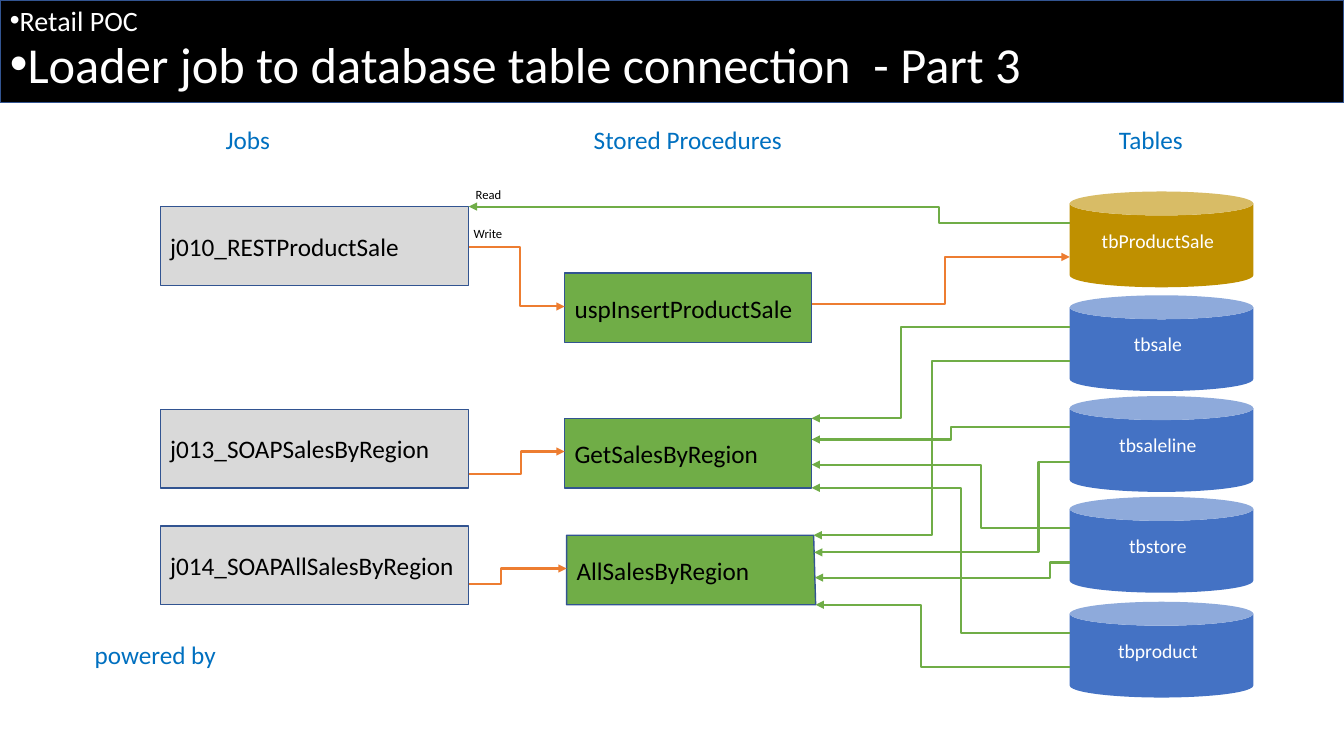
from lxml import etree
from pptx import Presentation
from pptx.dml.color import RGBColor
from pptx.enum.shapes import MSO_CONNECTOR, MSO_SHAPE
from pptx.enum.text import MSO_ANCHOR, PP_ALIGN
from pptx.oxml.ns import qn
from pptx.util import Inches, Pt

ELBOW = MSO_CONNECTOR.ELBOW
CAN, RECT = MSO_SHAPE.CAN, MSO_SHAPE.RECTANGLE
MIDDLE = MSO_ANCHOR.MIDDLE
LEFT, CENTER = PP_ALIGN.LEFT, PP_ALIGN.CENTER

BLACK = RGBColor(0x00, 0x00, 0x00)
WHITE = RGBColor(0xFF, 0xFF, 0xFF)
GREY = RGBColor(0xD9, 0xD9, 0xD9)
GREEN = RGBColor(0x70, 0xAD, 0x47)
ORANGE = RGBColor(0xED, 0x7D, 0x31)
GOLD = RGBColor(0xBF, 0x90, 0x00)
BLUE = RGBColor(0x44, 0x72, 0xC4)
HEADING = RGBColor(0x00, 0x70, 0xC0)
OUTLINE = RGBColor(0x32, 0x54, 0x91)

JOB_X, JOB_W, JOB_H = 1.59, 3.06, 0.78
PROC_W, PROC_H = 2.45, 0.69
TABLE_X, TABLE_W, TABLE_H = 10.61, 1.82, 0.95
UPPER, LOWER = 0.31, 0.65

JOBS = {
    "j010_RESTProductSale": (2.05, 0.40),
    "j013_SOAPSalesByRegion": (4.06, 0.64),
    "j014_SOAPAllSalesByRegion": (5.22, 0.57),
}
PROCS = {
    "uspInsertProductSale": (5.6, 2.71, 0),
    "GetSalesByRegion": (5.6, 4.15, 0),
    "AllSalesByRegion": (5.62, 5.31, 0.02),
}
TABLES = {
    "tbProductSale": (1.9, GOLD),
    "tbsale": (2.93, BLUE),
    "tbsaleline": (3.93, BLUE),
    "tbstore": (4.93, BLUE),
    "tbproduct": (5.97, BLUE),
}
CALLS = [
    ("j010_RESTProductSale", "uspInsertProductSale", 5.16),
    ("j013_SOAPSalesByRegion", "GetSalesByRegion", 5.17),
    ("j014_SOAPAllSalesByRegion", "AllSalesByRegion", 4.97),
]
READS = [
    ("tbsale", UPPER, "GetSalesByRegion", 0, 8.94),
    ("tbsale", LOWER, "AllSalesByRegion", 0, 9.24),
    ("tbsaleline", UPPER, "GetSalesByRegion", 0.21, 9.43),
    ("tbsaleline", LOWER, "AllSalesByRegion", 0.17, 10.3),
    ("tbstore", UPPER, "GetSalesByRegion", 0.46, 9.73),
    ("tbstore", LOWER, "AllSalesByRegion", 0.42, 10.41),
    ("tbproduct", UPPER, "GetSalesByRegion", 0.69, 9.53),
    ("tbproduct", LOWER, "AllSalesByRegion", 0.69, 9.13),
]
LABELS = [
    ("Jobs", 2.14, 1.18, 1.77, 0.4, 18, HEADING),
    ("Stored Procedures", 5.79, 1.18, 2.11, 0.4, 18, HEADING),
    ("Tables", 11, 1.18, 0.96, 0.4, 18, HEADING),
    ("Read", 4.62, 1.8, 0.46, 0.25, 9, BLACK),
    ("Write", 4.6, 2.19, 0.52, 0.25, 9, BLACK),
    ("powered by", 0.84, 6.29, 1.89, 0.28, 18, HEADING),
]


def write(p, text, size, color, align=LEFT):
    p.alignment = align
    r = p.add_run()
    r.text = text
    r.font.color.rgb = color
    for name, value in {"name": "Calibri", "size": Pt(size)}.items():
        setattr(r.font, name, value)


def paint(sp, fill, line=None):
    sp.shadow.inherit = False
    sp.fill.solid()
    sp.fill.fore_color.rgb = fill
    if line is None:
        sp.line.fill.background()
    else:
        sp.line.color.rgb = line
        sp.line.width = Pt(1)


def set_frame(tf, **values):
    for name, value in {"word_wrap": True, **values}.items():
        setattr(tf, name, value)


def add_banner(s, x, y, w, h):
    sp = s.shapes.add_shape(RECT, Inches(x), Inches(y), Inches(w), Inches(h))
    paint(sp, BLACK, OUTLINE)
    tf = sp.text_frame
    set_frame(tf, vertical_anchor=MIDDLE)
    lines = [("Retail POC", 20), ("Loader job to database table connection  - Part 3", 36)]
    for i, (text, size) in enumerate(lines):
        p = tf.paragraphs[0] if i == 0 else tf.add_paragraph()
        p.line_spacing = 0.8
        p.space_after = Pt(6)
        pPr = p._p.get_or_add_pPr()
        pPr.set("marL", "0")
        pPr.set("indent", str(-Inches(0.25)))
        etree.SubElement(pPr, qn("a:buFont")).set("typeface", "Arial")
        etree.SubElement(pPr, qn("a:buChar")).set("char", "•")
        write(p, text, size, WHITE)


def add_label(s, text, x, y, w, h, size, color):
    tf = s.shapes.add_textbox(Inches(x), Inches(y), Inches(w), Inches(h)).text_frame
    set_frame(tf)
    write(tf.paragraphs[0], text, size, color)


def add_box(s, text, x, y, w, h, fill, lean=0):
    corners = [(x + w, y), (x + w + lean, y + h), (x, y + h)]
    outline = s.shapes.build_freeform(Inches(x), Inches(y))
    outline.add_line_segments([(Inches(a), Inches(b)) for a, b in corners])
    sp = outline.convert_to_shape()
    paint(sp, fill, OUTLINE)
    set_frame(sp.text_frame, vertical_anchor=MIDDLE, margin_right=Inches(0.05))
    write(sp.text_frame.paragraphs[0], text, 18, BLACK)


def add_table_can(s, text, x, y, w, h, fill):
    sp = s.shapes.add_shape(CAN, Inches(x), Inches(y), Inches(w), Inches(h))
    paint(sp, fill)
    set_frame(sp.text_frame, vertical_anchor=MIDDLE,
              margin_right=Inches(0.17), margin_bottom=Inches(0.15))
    write(sp.text_frame.paragraphs[0], text, 14, WHITE, CENTER)


def add_flow(s, start, end, bend_x, color):
    (x1, y1), (x2, y2) = start, end
    cn = s.shapes.add_connector(ELBOW, Inches(x1), Inches(y1), Inches(x2), Inches(y2))
    cn.line.color.rgb = color
    cn.line.width = Pt(1.5)
    etree.SubElement(cn.line._get_or_add_ln(), qn("a:tailEnd")).set("type", "triangle")
    spPr = cn._element.spPr
    etree.SubElement(spPr, qn("a:effectLst"))
    guide = etree.SubElement(spPr.find(qn("a:prstGeom")).find(qn("a:avLst")), qn("a:gd"))
    guide.set("name", "adj1")
    guide.set("fmla", f"val {round((bend_x - x1) / (x2 - x1) * 100000)}")


def add_flows(s):
    job_right = JOB_X + JOB_W
    sale_y = TABLES["tbProductSale"][0]
    job_y = JOBS["j010_RESTProductSale"][0]
    insert_x, insert_y, _ = PROCS["uspInsertProductSale"]
    add_flow(s, (TABLE_X, sale_y + UPPER), (job_right, job_y), 9.31, GREEN)
    add_flow(s, (insert_x + PROC_W, insert_y + 0.31), (TABLE_X, sale_y + LOWER), 9.37, ORANGE)
    for job, proc, bend_x in CALLS:
        y, port = JOBS[job]
        proc_x, proc_y, _ = PROCS[proc]
        add_flow(s, (job_right, y + port), (proc_x, proc_y + 0.33), bend_x, ORANGE)
    for table, side, proc, port, bend_x in READS:
        proc_x, proc_y, lean = PROCS[proc]
        edge = proc_x + PROC_W + lean * port / PROC_H
        add_flow(s, (TABLE_X, TABLES[table][0] + side), (edge, proc_y + port), bend_x, GREEN)


def main():
    prs = Presentation()
    prs.slide_width, prs.slide_height = Inches(13.33), Inches(7.5)
    s = prs.slides.add_slide(prs.slide_layouts[6])
    add_banner(s, 0, 0, 13.33, 1.02)
    for label in LABELS:
        add_label(s, *label)
    for name, (y, _) in JOBS.items():
        add_box(s, name, JOB_X, y, JOB_W, JOB_H, GREY)
    for name, (x, y, lean) in PROCS.items():
        add_box(s, name, x, y, PROC_W, PROC_H, GREEN, lean)
    for name, (y, fill) in TABLES.items():
        add_table_can(s, name, TABLE_X, y, TABLE_W, TABLE_H, fill)
    add_flows(s)
    prs.save("out.pptx")


if __name__ == "__main__":
    main()
